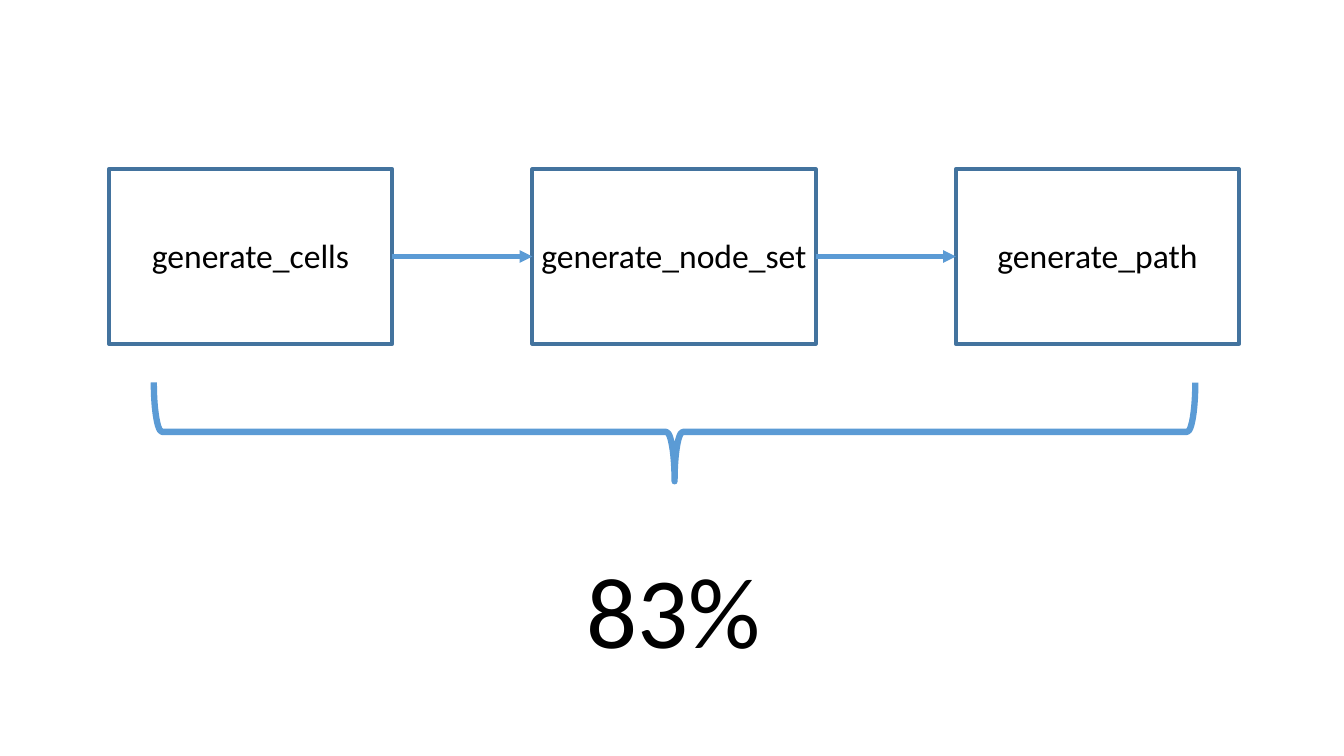
from lxml.etree import SubElement
from pptx import Presentation
from pptx.dml.color import RGBColor as RGB
from pptx.enum.shapes import MSO_CONNECTOR as LINK, MSO_SHAPE as SHAPE
from pptx.enum.text import MSO_AUTO_SIZE as AUTOSIZE, PP_ALIGN as ALIGN
from pptx.oxml.ns import qn
from pptx.util import Inches, Pt

COLOURS = {"paper": "FFFFFF", "border": "43739E", "accent": "5B9BD5", "ink": "000000"}


def write(frame, text, size=24, font="Calibri", colour="ink", align=ALIGN.CENTER):
    paragraph = frame.paragraphs[0]
    paragraph.alignment = align
    run = paragraph.add_run()
    run.text = text
    run.font.size = Pt(size)
    run.font.name = font
    run.font.color.rgb = RGB.from_string(COLOURS[colour])


class Diagram:
    def __init__(self, slide):
        self.shapes = slide.shapes

    def stroke(self, line, colour, weight):
        line.color.rgb = RGB.from_string(COLOURS[colour])
        line.width = Pt(weight)

    def outline(self, preset, left, top, width, height, colour, weight, fill=None):
        shape = self.shapes.add_shape(
            preset, Inches(left), Inches(top), Inches(width), Inches(height))
        shape.shadow.inherit = False
        if fill:
            shape.fill.solid()
            shape.fill.fore_color.rgb = RGB.from_string(COLOURS[fill])
        else:
            shape.fill.background()
        self.stroke(shape.line, colour, weight)
        return shape

    def arrow(self, start, end, y):
        link = self.shapes.add_connector(
            LINK.STRAIGHT, Inches(start), Inches(y), Inches(end), Inches(y))
        self.stroke(link.line, "accent", 3)
        SubElement(link.line._get_or_add_ln(), qn("a:tailEnd"), type="triangle")
        SubElement(link._element.spPr, qn("a:effectLst"))

    def label(self, text, centre, top, width, height, **style):
        box = self.shapes.add_textbox(
            Inches(centre - width / 2), Inches(top), Inches(width), Inches(height))
        box.text_frame.word_wrap = False
        box.text_frame.auto_size = AUTOSIZE.SHAPE_TO_FIT_TEXT
        write(box.text_frame, text, **style)


def main():
    deck = Presentation()
    deck.slide_width, deck.slide_height = Inches(13.33), Inches(7.5)
    diagram = Diagram(deck.slides.add_slide(deck.slide_layouts[6]))

    first_left, stage_top, stage_width, stage_height, pitch = 1.08, 1.68, 2.81, 1.73, 4.2
    stages = [("generate_cells", 2.18), ("generate_node_set", 2.86), ("generate_path", 2.21)]
    lefts = [first_left + pitch * index for index in range(len(stages))]

    for left in lefts:
        diagram.outline(SHAPE.RECTANGLE, left, stage_top, stage_width, stage_height,
                        "border", 3, fill="paper")
    for left, following in zip(lefts, lefts[1:]):
        diagram.arrow(left + stage_width, following, stage_top + stage_height / 2)
    for left, (name, width) in zip(lefts, stages):
        diagram.label(name, left + stage_width / 2, 2.28, width, 0.5)

    brace = diagram.outline(SHAPE.RIGHT_BRACE, 6.2, -0.88, 0.98, 10.33, "accent", 4.5)
    brace.rotation = 90
    diagram.label("83%", lefts[1] + stage_width / 2, 5.38, 1.95, 1.31, size=72)

    deck.save("out.pptx")


if __name__ == "__main__":
    main()
